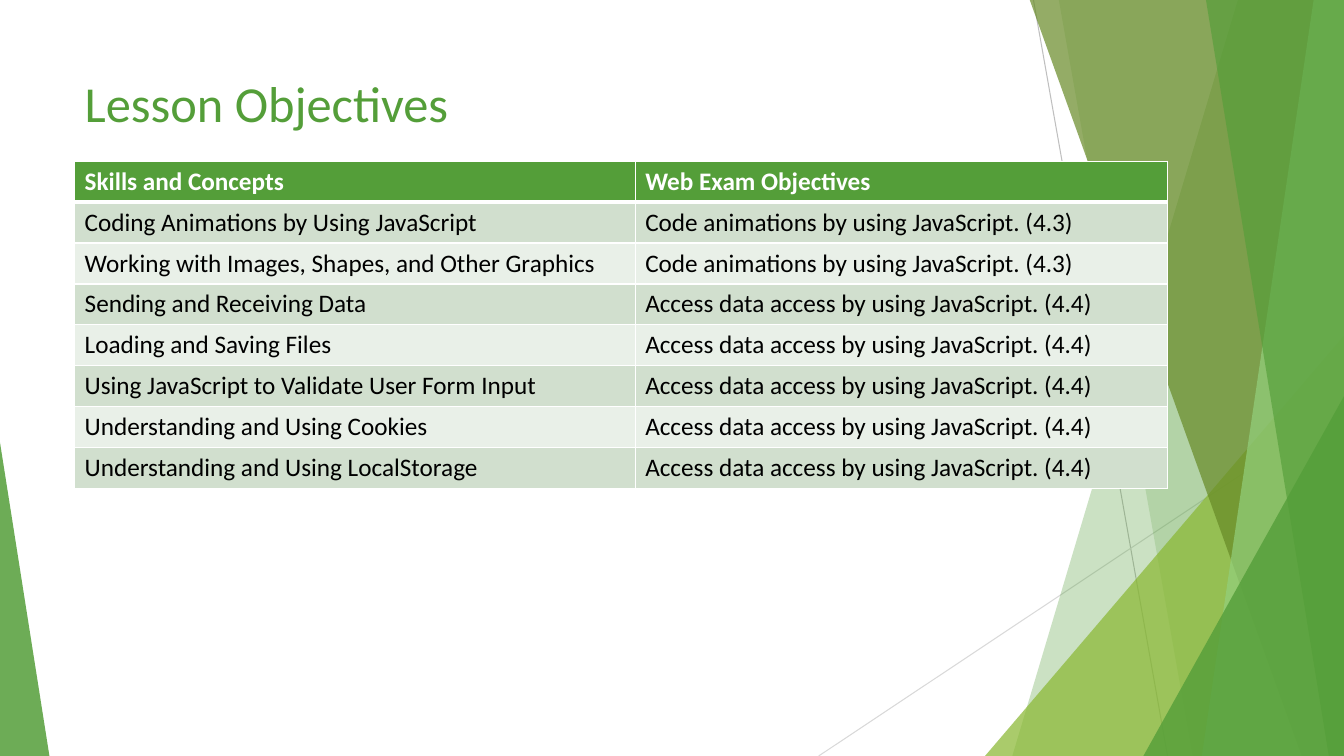
from dataclasses import dataclass

from lxml import etree
from pptx import Presentation
from pptx.dml.color import RGBColor
from pptx.enum.shapes import MSO_CONNECTOR, MSO_SHAPE
from pptx.enum.text import MSO_ANCHOR, PP_ALIGN
from pptx.oxml.ns import qn
from pptx.util import Inches, Pt

STRAIGHT = MSO_CONNECTOR.STRAIGHT
TRIANGLE = MSO_SHAPE.ISOSCELES_TRIANGLE
TOP = MSO_ANCHOR.TOP
LEFT = PP_ALIGN.LEFT

FONT = "Calibri"
COLORS = {
    "green": "549E39",
    "lime": "8AB833",
    "olive": "678A26",
    "mint": "93D07D",
    "gray": "BFBFBF",
    "light gray": "D9D9D9",
    "dark band": "D1DFCE",
    "light band": "E9F0E8",
    "white": "FFFFFF",
    "black": "000000",
}
SLIDE_WIDTH, SLIDE_HEIGHT = 13.33, 7.5
PANEL_TOP = -0.01


@dataclass
class Ray:
    start: tuple[float, float]
    end: tuple[float, float]
    color: str


@dataclass
class Panel:
    top_left: float
    bottom_left: float
    color: str
    opacity: int


@dataclass
class Wedge:
    left: float
    top: float
    width: float
    apex: float
    color: str
    opacity: int


RAYS = [
    Ray((10.25, 0), (11.58, SLIDE_HEIGHT), "gray"),
    Ray((SLIDE_WIDTH, 4.03), (8.12, SLIDE_HEIGHT), "light gray"),
]
FACETS = [
    Panel(12.28, 10.04, "green", 30),
    Panel(10.5, 11.83, "green", 20),
    Wedge(9.77, 3.33, 3.56, 1, "lime", 72),
    Panel(10.21, 12.91, "olive", 70),
    Panel(13.03, 11.92, "mint", 70),
    Panel(11.96, 13.18, "green", 65),
    Wedge(11.34, 3.93, 1.99, 1, "green", 80),
    Wedge(0, 4.39, 0.49, 0, "green", 85),
]
ANIMATIONS = "Code animations by using JavaScript. (4.3)"
DATA_ACCESS = "Access data access by using JavaScript. (4.4)"
OBJECTIVES = [
    ("Skills and Concepts", "Web Exam Objectives"),
    ("Coding Animations by Using JavaScript", ANIMATIONS),
    ("Working with Images, Shapes, and Other Graphics", ANIMATIONS),
    ("Sending and Receiving Data", DATA_ACCESS),
    ("Loading and Saving Files", DATA_ACCESS),
    ("Using JavaScript to Validate User Form Input", DATA_ACCESS),
    ("Understanding and Using Cookies", DATA_ACCESS),
    ("Understanding and Using LocalStorage", DATA_ACCESS),
]
COLUMN_WIDTHS = (5.56, 5.28)
ROW_HEIGHT = 0.4


def rgb(color: str) -> RGBColor:
    return RGBColor.from_string(COLORS[color])


def add_ray(slide, ray: Ray) -> None:
    points = [Inches(value) for value in (*ray.start, *ray.end)]
    connector = slide.shapes.add_connector(STRAIGHT, *points)
    connector.line.color.rgb = rgb(ray.color)
    connector.line.width = Pt(0.75)
    etree.SubElement(connector.element.spPr, qn("a:effectLst"))


def add_facet(slide, facet: Panel | Wedge) -> None:
    if isinstance(facet, Panel):
        corners = [
            (facet.top_left, PANEL_TOP),
            (SLIDE_WIDTH, PANEL_TOP),
            (SLIDE_WIDTH, SLIDE_HEIGHT),
            (facet.bottom_left, SLIDE_HEIGHT),
        ]
        points = [(Inches(x), Inches(y)) for x, y in corners]
        builder = slide.shapes.build_freeform(*points[0])
        builder.add_line_segments(points[1:], close=True)
        shape = builder.convert_to_shape()
    else:
        box = (facet.left, facet.top, facet.width, SLIDE_HEIGHT - facet.top)
        shape = slide.shapes.add_shape(TRIANGLE, *[Inches(value) for value in box])
        shape.adjustments[0] = facet.apex
    shape.shadow.inherit = False
    shape.line.fill.background()
    shape.fill.solid()
    shape.fill.fore_color.rgb = rgb(facet.color)
    color_element = shape.element.spPr.find(f"{qn('a:solidFill')}/{qn('a:srgbClr')}")
    etree.SubElement(color_element, qn("a:alpha"), val=str(facet.opacity * 1000))


def format_text(text_frame, size: int, color: str, bold: bool) -> None:
    for paragraph in text_frame.paragraphs:
        paragraph.alignment = LEFT
        for run in paragraph.runs:
            run.font.name = FONT
            run.font.size = Pt(size)
            run.font.bold = bold
            run.font.color.rgb = rgb(color)


def add_title(slide, text: str) -> None:
    title = slide.shapes.title
    title.left, title.top = Inches(0.74), Inches(0.67)
    title.width, title.height = Inches(9.4), Inches(1.44)
    title.text_frame.text = text
    title.text_frame.vertical_anchor = TOP
    format_text(title.text_frame, 36, "green", False)
    slide.shapes.element.append(title.element)


def add_borders(cell, top: int, bottom: int) -> None:
    properties = cell._tc.get_or_add_tcPr()
    for side, points in {"L": 1, "R": 1, "T": top, "B": bottom}.items():
        line = etree.SubElement(properties, qn(f"a:ln{side}"), w=str(Pt(points)))
        fill = etree.SubElement(line, qn("a:solidFill"))
        etree.SubElement(fill, qn("a:srgbClr"), val=COLORS["white"])


def add_objectives(slide) -> None:
    frame = slide.shapes.add_table(
        len(OBJECTIVES), len(COLUMN_WIDTHS), Inches(0.74), Inches(1.6),
        Inches(sum(COLUMN_WIDTHS)), Inches(ROW_HEIGHT * len(OBJECTIVES)),
    )
    table = frame.table
    for column, width in zip(table.columns, COLUMN_WIDTHS):
        column.width = Inches(width)
    for index, texts in enumerate(OBJECTIVES):
        header = index == 0
        band = "green" if header else "dark band" if index % 2 else "light band"
        for cell, text in zip(table.rows[index].cells, texts):
            cell.text_frame.text = text
            format_text(cell.text_frame, 18, "white" if header else "black", header)
            add_borders(cell, 3 if index == 1 else 1, 3 if header else 1)
            cell.fill.solid()
            cell.fill.fore_color.rgb = rgb(band)


def main() -> None:
    presentation = Presentation()
    presentation.slide_width = Inches(SLIDE_WIDTH)
    presentation.slide_height = Inches(SLIDE_HEIGHT)
    slide = presentation.slides.add_slide(presentation.slide_layouts[5])
    for ray in RAYS:
        add_ray(slide, ray)
    for facet in FACETS:
        add_facet(slide, facet)
    add_title(slide, "Lesson Objectives")
    add_objectives(slide)
    presentation.save("out.pptx")


if __name__ == "__main__":
    main()
